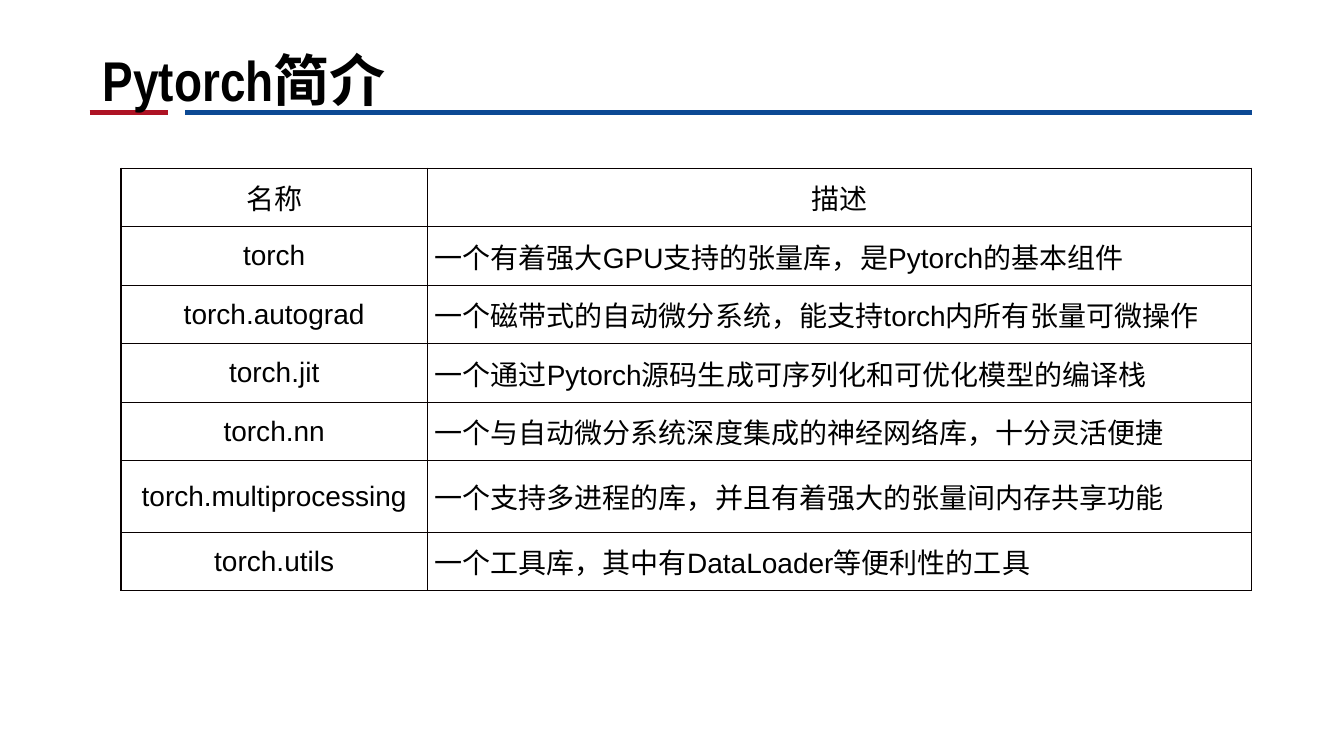
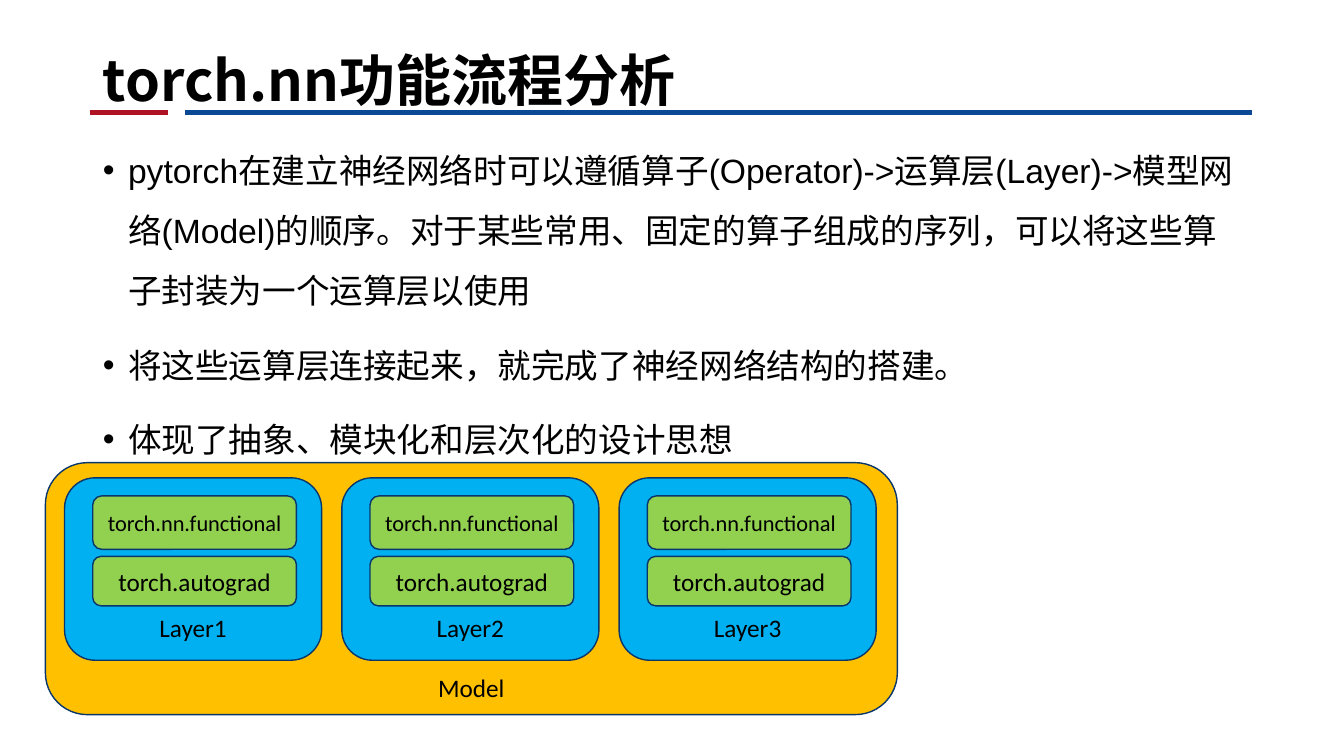
from lxml.etree import SubElement
from pptx import Presentation
from pptx.dml.color import RGBColor
from pptx.enum.shapes import MSO_CONNECTOR, MSO_SHAPE
from pptx.enum.text import MSO_ANCHOR, MSO_AUTO_SIZE, PP_ALIGN
from pptx.oxml.ns import qn
from pptx.util import Pt

EMU_PER_PX = 9144  # 100 px to the inch
COLORS = {
    "text": "000000",
    "red_rule": "AE1324",
    "blue_rule": "0C4994",
    "border": "080000",
    "outline": "09366D",
    "model": "FFC000",
    "layer": "00B0F0",
    "module": "92D050",
}
CJK_FONT = "Noto Sans CJK SC"
CONTENT_LEFT, CONTENT_WIDTH = 92, 1150

COMPONENTS = [
    ("名称", "描述"),
    ("torch", "一个有着强大GPU支持的张量库，是Pytorch的基本组件"),
    ("torch.autograd", "一个磁带式的自动微分系统，能支持torch内所有张量可微操作"),
    ("torch.jit", "一个通过Pytorch源码生成可序列化和可优化模型的编译栈"),
    ("torch.nn", "一个与自动微分系统深度集成的神经网络库，十分灵活便捷"),
    ("torch.multiprocessing", "一个支持多进程的库，并且有着强大的张量间内存共享功能"),
    ("torch.utils", "一个工具库，其中有DataLoader等便利性的工具"),
]
COMPONENT_ROW_HEIGHTS = [58, 58, 58, 58, 58, 71, 58]
WORKFLOW_POINTS = [
    "pytorch在建立神经网络时可以遵循算子(Operator)->运算层(Layer)->模型网络(Model)的顺序。"
    "对于某些常用、固定的算子组成的序列，可以将这些算子封装为一个运算层以使用",
    "将这些运算层连接起来，就完成了神经网络结构的搭建。",
    "体现了抽象、模块化和层次化的设计思想",
]


def px(length):
    return length * EMU_PER_PX


def color(name):
    return RGBColor.from_string(COLORS[name])


def write_text(paragraph, text, size, font="Arial", bold=False, align=PP_ALIGN.LEFT):
    paragraph.alignment = align
    run = paragraph.add_run()
    run.text = text
    run.font.size = Pt(size)
    run.font.bold = bold
    run.font.color.rgb = color("text")
    run.font.name = font
    east_asian = SubElement(run.font._element, qn("a:ea"))
    east_asian.set("typeface", CJK_FONT)


def place(shape, left, top, width, height):
    shape.left, shape.top = px(left), px(top)
    shape.width, shape.height = px(width), px(height)


# Shared slide frame
def add_master_rules(presentation, slide):
    """Draw the two title rules and move them to the slide master."""
    master_tree = presentation.slide_master.shapes.element
    rules = [("red_rule", 89, 167), ("blue_rule", 184, 1242)]
    for number, (name, start, end) in enumerate(rules):
        rule = slide.shapes.add_connector(
            MSO_CONNECTOR.STRAIGHT, px(start), px(112), px(end), px(112))
        rule.line.color.rgb = color(name)
        rule.line.width = Pt(3.5)
        SubElement(rule.element.spPr, qn("a:effectLst"))
        rule.element.nvCxnSpPr.cNvPr.set("id", str(100 + number))
        master_tree.append(rule.element)


def add_titled_slide(presentation, layout_index, title, font):
    slide = presentation.slides.add_slide(presentation.slide_layouts[layout_index])
    shape = slide.shapes.title
    place(shape, CONTENT_LEFT, 0, CONTENT_WIDTH, 112)
    frame = shape.text_frame
    frame.auto_size = MSO_AUTO_SIZE.NONE
    frame.vertical_anchor = MSO_ANCHOR.BOTTOM
    frame.margin_bottom = 0
    write_text(frame.paragraphs[0], title, 40, font=font, bold=True)
    return slide


# Table
def set_cell_borders(cell):
    properties = cell._tc.get_or_add_tcPr()
    for position, side in enumerate(("a:lnL", "a:lnR", "a:lnT", "a:lnB")):
        line = properties.makeelement(qn(side), {"w": str(Pt(1))})
        fill = SubElement(line, qn("a:solidFill"))
        SubElement(fill, qn("a:srgbClr")).set("val", COLORS["border"])
        properties.insert(position, line)


def add_component_table(slide):
    table = slide.shapes.add_table(
        len(COMPONENTS), 2, px(120), px(167), px(1121), px(sum(COMPONENT_ROW_HEIGHTS))).table
    table.first_row = table.horz_banding = False
    for column, width in zip(table.columns, (304, 817)):
        column.width = px(width)
    for row_index, (texts, height) in enumerate(zip(COMPONENTS, COMPONENT_ROW_HEIGHTS)):
        table.rows[row_index].height = px(height)
        for column_index, text in enumerate(texts):
            cell = table.cell(row_index, column_index)
            cell.fill.background()
            cell.vertical_anchor = MSO_ANCHOR.MIDDLE
            cell.margin_left = cell.margin_right = px(7)
            cell.margin_top = cell.margin_bottom = 0
            is_description = row_index > 0 and column_index == 1
            write_text(cell.text_frame.paragraphs[0], text, 20,
                       align=PP_ALIGN.LEFT if is_description else PP_ALIGN.CENTER)
            set_cell_borders(cell)


# Bullet list
def fill_bullets(placeholder, points):
    place(placeholder, CONTENT_LEFT, 124, CONTENT_WIDTH, 516)
    frame = placeholder.text_frame
    frame.auto_size = MSO_AUTO_SIZE.NONE
    for index, point in enumerate(points):
        paragraph = frame.add_paragraph() if index else frame.paragraphs[0]
        paragraph.line_spacing = Pt(43)
        paragraph.space_before = Pt(0)
        paragraph.space_after = Pt(10)
        properties = paragraph._p.get_or_add_pPr()
        properties.set("marL", str(px(25)))
        properties.set("indent", str(px(-25)))
        SubElement(properties, qn("a:buChar")).set("char", "•")
        write_text(paragraph, point, 24)


# Model diagram
def add_block(slide, text, left, top, width, height, fill, size=18,
              anchor=MSO_ANCHOR.MIDDLE, bottom_margin=5):
    block = slide.shapes.add_shape(
        MSO_SHAPE.ROUNDED_RECTANGLE, px(left), px(top), px(width), px(height))
    block.shadow.inherit = False
    block.fill.solid()
    block.fill.fore_color.rgb = color(fill)
    block.line.color.rgb = color("outline")
    block.line.width = Pt(1)
    frame = block.text_frame
    frame.word_wrap = True
    frame.vertical_anchor = anchor
    frame.margin_left = frame.margin_right = px(5)
    frame.margin_bottom = px(bottom_margin)
    write_text(frame.paragraphs[0], text, size, font="Calibri", align=PP_ALIGN.CENTER)


def add_layer(slide, name, left, top):
    add_block(slide, name, left, top, 255, 181, "layer",
              anchor=MSO_ANCHOR.BOTTOM, bottom_margin=9)
    add_block(slide, "torch.nn.functional", left + 28, top + 18, 202, 53, "module", size=16)
    add_block(slide, "torch.autograd", left + 28, top + 78, 202, 49, "module")


def add_model_diagram(slide):
    add_block(slide, "Model", 45, 459, 845, 250, "model",
              anchor=MSO_ANCHOR.BOTTOM, bottom_margin=0)
    for index in range(3):
        add_layer(slide, f"Layer{index + 1}", 64 + 275 * index, 474)


def main():
    presentation = Presentation()
    presentation.slide_width, presentation.slide_height = px(1333), px(750)

    introduction = add_titled_slide(presentation, 5, "Pytorch简介", "Arial Narrow")
    add_master_rules(presentation, introduction)
    add_component_table(introduction)

    workflow = add_titled_slide(presentation, 1, "torch.nn功能流程分析", CJK_FONT)
    fill_bullets(workflow.placeholders[1], WORKFLOW_POINTS)
    add_model_diagram(workflow)

    presentation.save("out.pptx")


if __name__ == "__main__":
    main()
